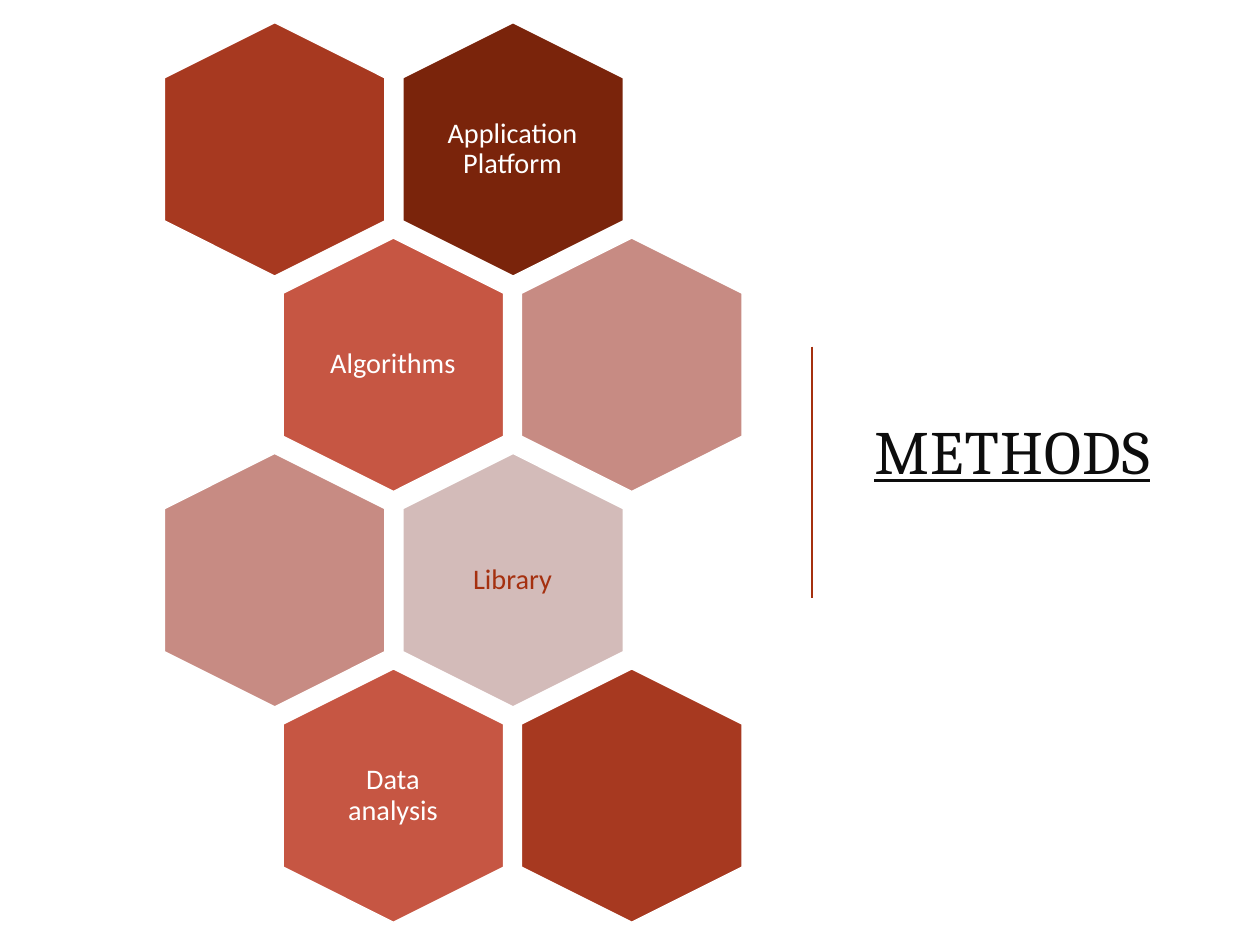
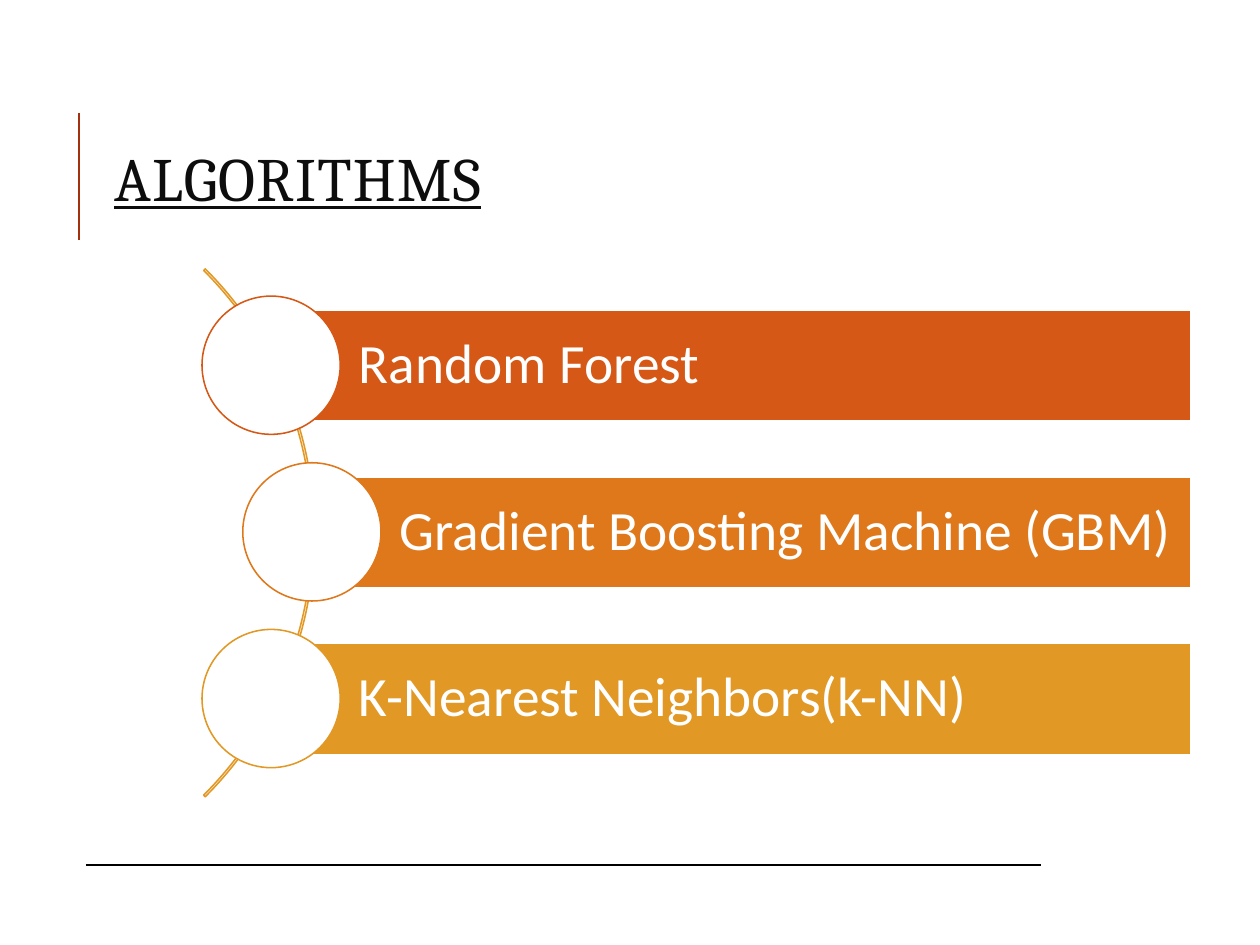
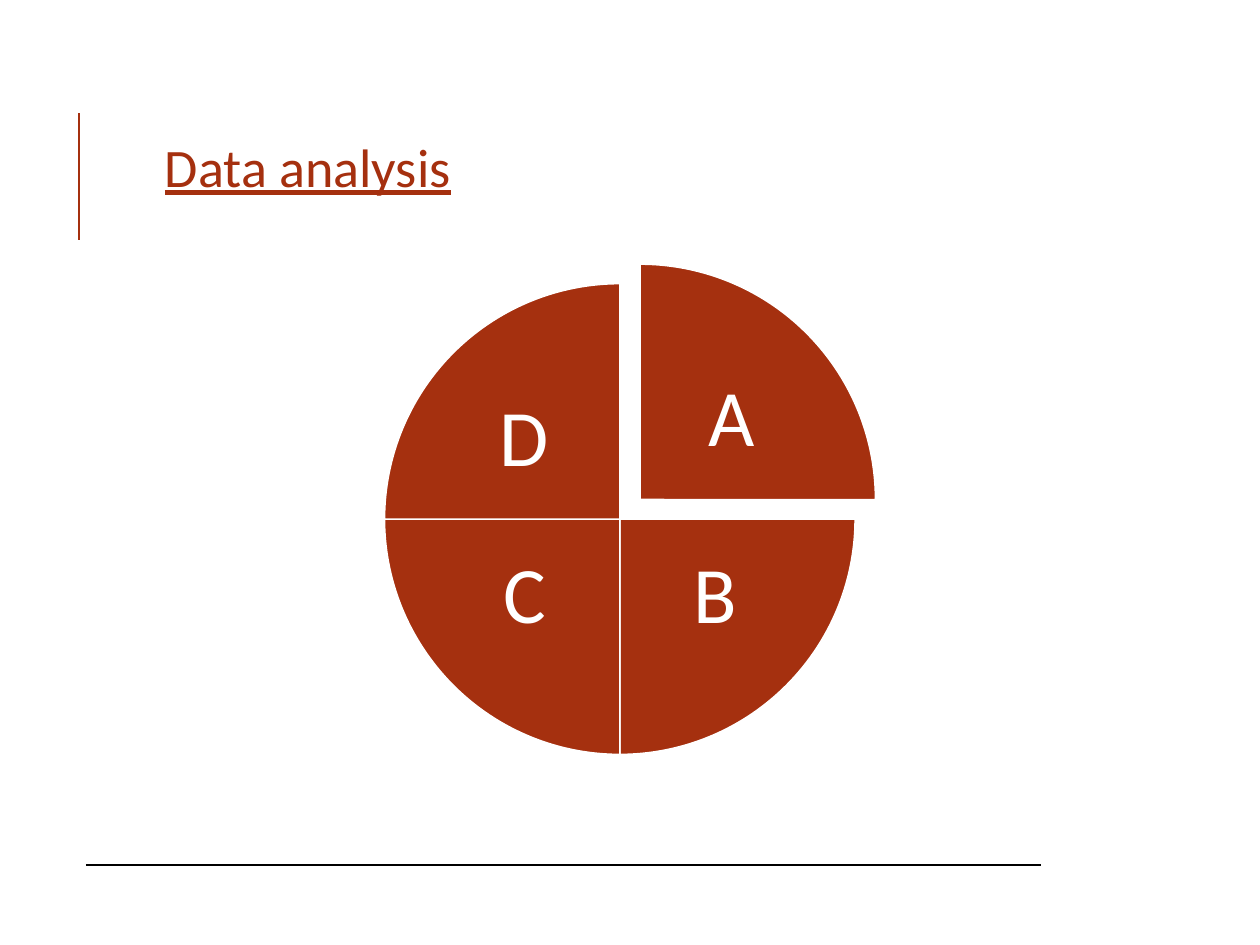
from pptx import Presentation
from pptx.dml.color import RGBColor
from pptx.enum.shapes import MSO_CONNECTOR, MSO_SHAPE
from pptx.enum.text import MSO_ANCHOR, PP_ALIGN
from pptx.oxml.ns import qn
from pptx.util import Inches, Pt
from lxml import etree

COLORS = {
    "white": "FFFFFF",
    "black": "000000",
    "ink": "0D0D0D",
    "brick": "A5300F",
    "maroon": "7A240B",
    "rust": "A73920",
    "coral": "C65643",
    "rose": "C78B83",
    "blush": "D3BBB9",
    "orange": "D55816",
    "amber": "DE781B",
    "gold": "E19825",
}
BODY_FONT = "Calibri"
TITLE_FONT = "Cambria"


def color(name):
    return RGBColor.from_string(COLORS[name])


def place(left, top, width, height):
    return [Inches(length) for length in (left, top, width, height)]


def write(box, text, size, ink="white", font=BODY_FONT, align=PP_ALIGN.LEFT,
          spacing=0.9, margins=(0.1, 0.05, 0.1, 0.05), underline=False):
    frame = box.text_frame
    frame.word_wrap = True
    frame.vertical_anchor = MSO_ANCHOR.MIDDLE
    (frame.margin_left, frame.margin_top,
     frame.margin_right, frame.margin_bottom) = place(*margins)
    para = frame.paragraphs[0]
    para.alignment = align
    para.line_spacing = spacing
    span = para.add_run()
    span.text = text
    span.font.size = Pt(size)
    span.font.name = font
    span.font.color.rgb = color(ink)
    if underline:
        span.font.underline = True
    return span


def add_label(page, area, text, size, **style):
    box = page.shapes.add_textbox(*place(*area))
    return write(box, text, size, **style)


def add_title(page, area, text):
    span = add_label(page, area, text, 50, ink="ink", font=TITLE_FONT,
                     spacing=0.8, underline=True)
    span.font._element.set("spc", "100")


def add_figure(page, kind, area, fill=None, outline="white", adjust=()):
    figure = page.shapes.add_shape(kind, *place(*area))
    figure.shadow.inherit = False
    if fill:
        figure.fill.solid()
        figure.fill.fore_color.rgb = color(fill)
    else:
        figure.fill.background()
    figure.line.color.rgb = color(outline)
    figure.line.width = Pt(1.25)
    for index, value in enumerate(adjust):
        figure.adjustments[index] = value
    return figure


def add_line(page, start, end, ink, width):
    line = page.shapes.add_connector(
        MSO_CONNECTOR.STRAIGHT, *place(*start, *end))
    line.line.color.rgb = color(ink)
    line.line.width = Pt(width)
    etree.SubElement(line._element.spPr, qn("a:effectLst"))


def add_frame_lines(page):
    add_line(page, (0.97, 9.76), (11.75, 9.76), "black", 1.25)
    add_line(page, (0.89, 1.28), (0.89, 2.71), "brick", 1.5)


def add_hexagon(page, row, column, fill, text, ink="white"):
    left = 1.67 + 2.69 * column + 1.34 * (row % 2)
    top = 0.44 + 2.43 * row
    hexagon = add_figure(page, MSO_SHAPE.HEXAGON, (left, top, 2.86, 2.49),
                         fill, adjust=(0.25, 1.1547))
    hexagon.rotation = 90
    if text:
        add_label(page, (left + 0.57, top + 0.26, 1.71, 1.97), text, 23,
                  ink=ink, align=PP_ALIGN.CENTER, margins=(0.1,) * 4)


def add_bar(page, row, left, fill, text):
    top = 3.5 + 1.88 * row
    bar = add_figure(page, MSO_SHAPE.RECTANGLE,
                     (left, top, 13.44 - left, 1.25), fill)
    write(bar, text, 45, margins=(0.99, 0.12, 0.12, 0.12))
    add_figure(page, MSO_SHAPE.OVAL, (left - 0.78, top - 0.16, 1.56, 1.56),
               "white", outline=fill)


def add_quarter(page, index, pie_at, label_at, text):
    quarter = 54
    start = (index + 3) % 4 * quarter
    add_figure(page, MSO_SHAPE.PIE, (*pie_at, 5.31, 5.31), "brick",
               adjust=(start, index * quarter))
    add_label(page, (*label_at, 1.96, 1.58), text, 65,
              align=PP_ALIGN.CENTER, margins=(0.09,) * 4)


def build_methods(page):
    add_title(page, (9.77, 3.73, 4.05, 2.84), "METHODS")
    add_line(page, (9.16, 3.91), (9.16, 6.75), "brick", 1.5)
    for cell in (
        (0, 0, "rust", ""),
        (0, 1, "maroon", "Application Platform"),
        (1, 0, "coral", "Algorithms"),
        (1, 1, "rose", ""),
        (2, 0, "rose", ""),
        (2, 1, "blush", "Library", "brick"),
        (3, 0, "coral", "Data analysis"),
        (3, 1, "rust", ""),
    ):
        add_hexagon(page, *cell)


def build_algorithms(page):
    add_frame_lines(page)
    add_title(page, (1.19, 0.91, 11.34, 2.33), "ALGORITHMS")
    add_figure(page, MSO_SHAPE.BLOCK_ARC, (-4.87, 1.8, 8.42, 8.42),
               outline="gold", adjust=(189, 27, 0.003))
    bars = (
        (3.06, "orange", "Random Forest"),
        (3.52, "amber", "Gradient Boosting Machine (GBM)"),
        (3.06, "gold", "K-Nearest Neighbors(k-NN)"),
    )
    for row, bar in enumerate(bars):
        add_bar(page, row, *bar)


def build_analysis(page):
    add_frame_lines(page)
    add_label(page, (0, 1.45, 6.95, 0.84), "Data analysis", 44, ink="brick",
              align=PP_ALIGN.CENTER, spacing=1.0, underline=True)
    center_pie = (4.34, 3.2)
    quarters = (
        ((4.57, 2.98), (7.28, 3.96), "A"),
        (center_pie, (7.09, 5.95), "B"),
        (center_pie, (4.94, 5.95), "C"),
        (center_pie, (4.94, 4.18), "D"),
    )
    for index, quarter in enumerate(quarters):
        add_quarter(page, index, *quarter)


def main():
    deck = Presentation()
    deck.slide_width = Inches(14.22)
    deck.slide_height = Inches(10.66)
    for build in (build_methods, build_algorithms, build_analysis):
        build(deck.slides.add_slide(deck.slide_layouts[6]))
    deck.save("out.pptx")


if __name__ == "__main__":
    main()
